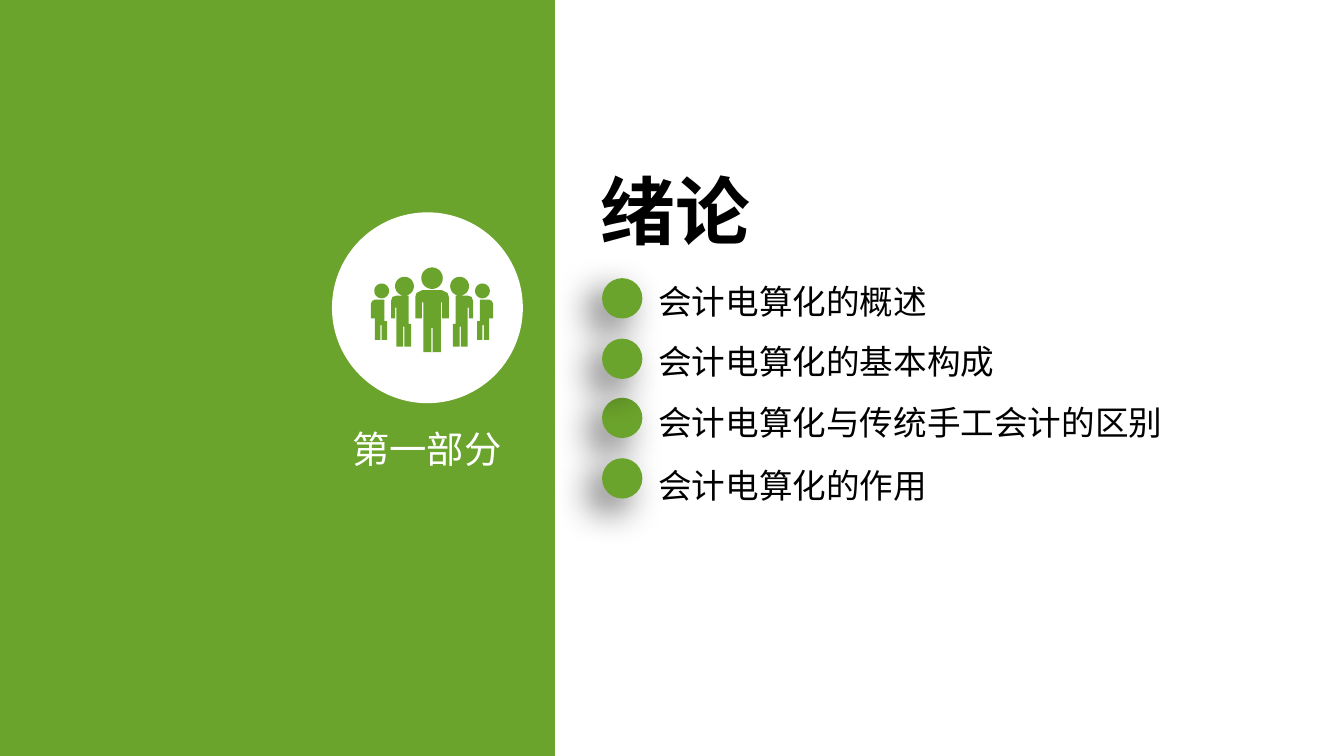
"""Build the section-opening slide for the introduction to computerised accounting."""
from dataclasses import dataclass
from math import cos, pi, sin

from lxml.etree import SubElement
from pptx import Presentation
from pptx.dml.color import RGBColor
from pptx.enum.shapes import MSO_SHAPE as Preset
from pptx.enum.text import MSO_AUTO_SIZE as AutoSize
from pptx.oxml.ns import qn
from pptx.util import Inches, Pt

GREEN, WHITE, BLACK = "6BA42C", "FFFFFF", "000000"
SANS = "Noto Sans CJK SC"
SLIDE_WIDTH = 10
SLIDE_HEIGHT = SLIDE_WIDTH * 9 / 16
ICON_AXIS = 3.215


@dataclass
class Topic:
    wording: str
    text_top: float
    dot_top: float
    width: float
    font: str = SANS


@dataclass
class Figure:
    head: tuple[float, float]
    radius: float
    body: list[tuple[float, float]]


TOPICS = [
    Topic("会计电算化的概述", 2.04, 2.07, 2.2),
    Topic("会计电算化与传统手工会计的区别", 2.94, 2.96, 3.95, "Calibri"),
    Topic("会计电算化的作用", 3.41, 3.41, 2.2),
    Topic("会计电算化的基本构成", 2.49, 2.52, 2.7),
]
LEADER = Figure((3.215, 2.07), 0.08, [
    (3.29, 2.37), (3.29, 2.25), (3.28, 2.25), (3.28, 2.62), (3.22, 2.62), (3.22, 2.44),
    (3.21, 2.44), (3.21, 2.62), (3.15, 2.62), (3.15, 2.25), (3.14, 2.25), (3.14, 2.37),
    (3.09, 2.37), (3.09, 2.21), (3.1, 2.18), (3.14, 2.16), (3.29, 2.16), (3.33, 2.18),
    (3.34, 2.21), (3.34, 2.37)])
COLLEAGUES = [
    Figure((3.01, 2.13), 0.07, [
        (3.06, 2.41), (3.06, 2.58), (3.01, 2.58), (3.01, 2.43), (3, 2.43), (3, 2.58),
        (2.95, 2.58), (2.95, 2.29), (2.94, 2.29), (2.94, 2.37), (2.91, 2.37), (2.91, 2.24),
        (2.92, 2.21), (2.95, 2.2), (3.04, 2.2), (3.04, 2.41)]),
    Figure((2.84, 2.165), 0.055, [
        (2.88, 2.39), (2.88, 2.53), (2.84, 2.53), (2.84, 2.42), (2.83, 2.42), (2.83, 2.53),
        (2.79, 2.53), (2.79, 2.37), (2.76, 2.37), (2.76, 2.26), (2.77, 2.24), (2.79, 2.23),
        (2.86, 2.23), (2.86, 2.39)]),
]


def rgb(code: str) -> RGBColor:
    """Turn a hex string into a colour."""
    return RGBColor.from_string(code)


def paint(shape, color: str) -> None:
    """Give a shape a flat fill without line or shadow."""
    shape.shadow.inherit = False
    shape.fill.solid()
    shape.fill.fore_color.rgb = rgb(color)
    shape.line.fill.background()


def add_filled(shapes, preset, left: float, top: float, width: float, height: float, color: str):
    """Add a flat preset shape."""
    shape = shapes.add_shape(preset, Inches(left), Inches(top), Inches(width), Inches(height))
    paint(shape, color)
    return shape


def add_label(shapes, wording: str, left: float, top: float, width: float, height: float,
              size: float, color: str = BLACK, font: str = SANS, bold: bool = False):
    """Add a one-line text box and return its frame."""
    frame = shapes.add_textbox(Inches(left), Inches(top), Inches(width), Inches(height)).text_frame
    frame.text = wording
    frame.word_wrap = False
    frame.auto_size = AutoSize.SHAPE_TO_FIT_TEXT
    run = frame.paragraphs[0].runs[0]
    run.font.size, run.font.bold, run.font.name = Pt(size), bold, font
    run.font.color.rgb = rgb(color)
    SubElement(run.font._element, qn("a:ea"), typeface=SANS)
    return frame


def cast_shadow(shape) -> None:
    """Drop a soft shadow to the lower left."""
    effects = shape._element.spPr.find(qn("a:effectLst"))
    shadow = SubElement(effects, qn("a:outerShdw"), blurRad=str(Pt(20)), dist=str(Pt(10)),
                        dir=str(135 * 60000), algn="tr", rotWithShape="0")
    black = SubElement(shadow, qn("a:srgbClr"), val=BLACK)
    SubElement(black, qn("a:alpha"), val="60000")


def mirrored(figure: Figure) -> Figure:
    """Reflect a figure across the icon's axis."""
    x, y = figure.head
    return Figure((2 * ICON_AXIS - x, y), figure.radius,
                  [(2 * ICON_AXIS - px, py) for px, py in figure.body])


def head_outline(figure: Figure, steps: int = 36) -> list[tuple[float, float]]:
    """Return the points of a round head."""
    x, y = figure.head
    angles = [2 * pi * step / steps for step in range(steps)]
    return [(x + figure.radius * cos(a), y + figure.radius * sin(a)) for a in angles]


def add_team(shapes, figures: list[Figure]) -> None:
    """Draw all figures as one outline."""
    outlines = [outline for figure in figures for outline in (head_outline(figure), figure.body)]
    first, *others = [[(Inches(x), Inches(y)) for x, y in outline] for outline in outlines]
    builder = shapes.build_freeform(*first[0])
    builder.add_line_segments(first[1:], close=True)
    for contour in others:
        builder.move_to(*contour[0])
        builder.add_line_segments(contour[1:], close=True)
    paint(builder.convert_to_shape(), GREEN)


def add_topic(shapes, topic: Topic) -> None:
    """Add a topic with its shaded dot."""
    add_label(shapes, topic.wording, 4.8, topic.text_top, topic.width, 0.4, 18, font=topic.font)
    cast_shadow(add_filled(shapes, Preset.OVAL, 4.48, topic.dot_top, 0.3, 0.3, GREEN))


def main() -> None:
    """Build and save the slide."""
    deck = Presentation()
    deck.slide_width, deck.slide_height = Inches(SLIDE_WIDTH), Inches(SLIDE_HEIGHT)
    shapes = deck.slides.add_slide(deck.slide_layouts[6]).shapes
    add_filled(shapes, Preset.RECTANGLE, 0, 0, 4.13, SLIDE_HEIGHT, GREEN)
    add_label(shapes, "绪论", 4.37, 1.18, 1.32, 0.77, 40, bold=True)
    section = add_label(shapes, "第一部分", 2.62, 3.17, 1.36, 0.34, 20, WHITE)
    section.word_wrap = True
    section.margin_left = section.margin_right = section.margin_top = section.margin_bottom = 0
    badge = shapes.add_group_shape().shapes
    add_filled(badge, Preset.OVAL, 2.47, 1.58, 1.42, 1.42, WHITE)
    add_team(badge, [LEADER, *COLLEAGUES, *map(mirrored, COLLEAGUES)])
    for topic in TOPICS:
        add_topic(shapes, topic)
    deck.save("out.pptx")


if __name__ == "__main__":
    main()
